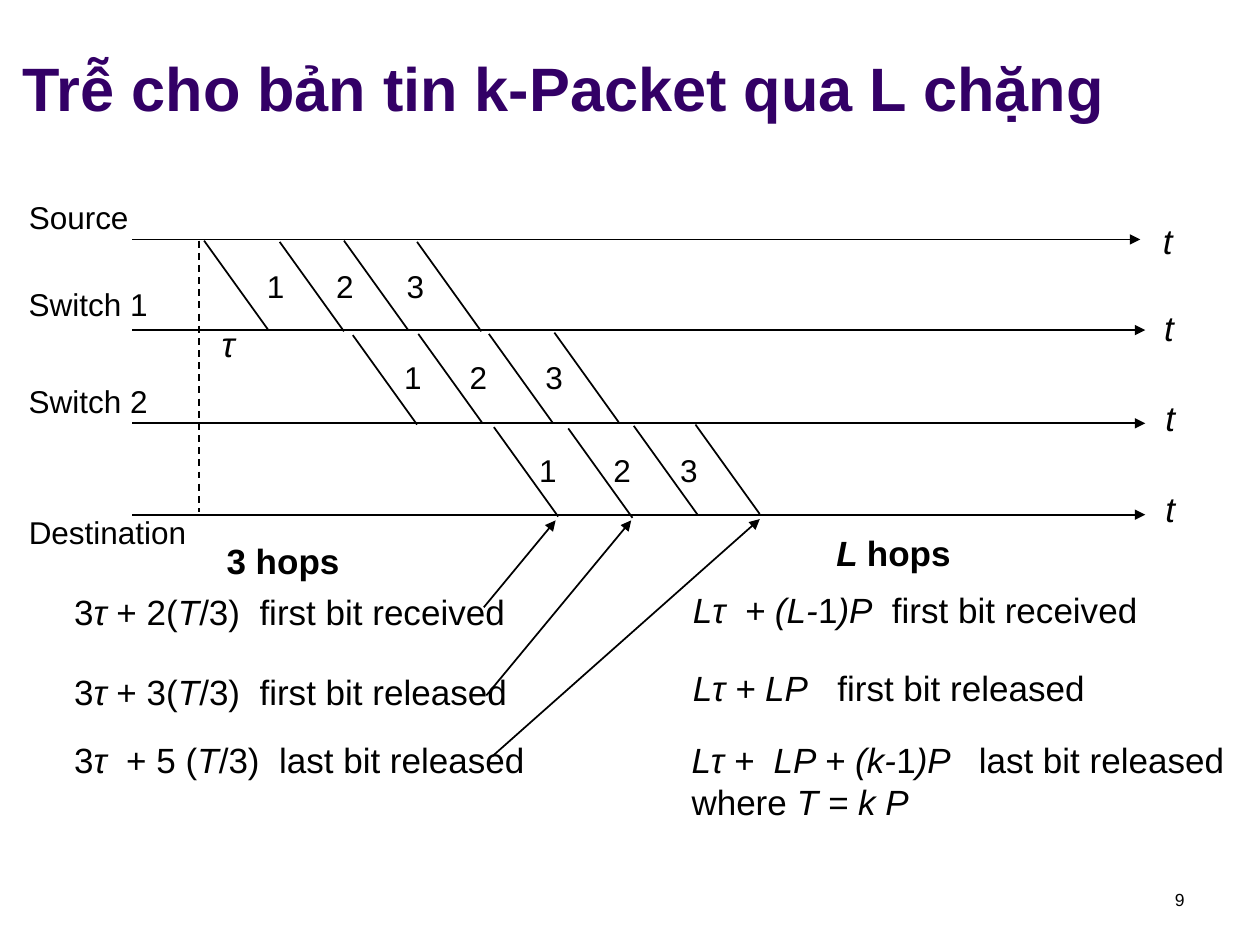
from lxml import etree
from pptx import Presentation
from pptx.dml.color import RGBColor
from pptx.enum.dml import MSO_LINE
from pptx.enum.shapes import MSO_CONNECTOR
from pptx.enum.text import MSO_ANCHOR, MSO_AUTO_SIZE, PP_ALIGN
from pptx.oxml.ns import qn
from pptx.util import Inches, Pt

STRAIGHT = MSO_CONNECTOR.STRAIGHT
DASH = MSO_LINE.DASH
LEFT, CENTER, RIGHT = PP_ALIGN.LEFT, PP_ALIGN.CENTER, PP_ALIGN.RIGHT
TOP, MIDDLE, BOTTOM = MSO_ANCHOR.TOP, MSO_ANCHOR.MIDDLE, MSO_ANCHOR.BOTTOM

THEME = {
    "font": "Arial",
    "ink": RGBColor(0x00, 0x00, 0x00),
    "title_color": RGBColor(0x33, 0x00, 0x66),
    "title": 35, "formula": 20, "label": 18, "number": 10,
    "line": 1,
}

# Content: text between asterisks is italic
TITLE = "Trễ cho bản tin k-Packet qua L chặng"
PAGE_NUMBER = "9"

# Time axes: name, top of name, name width, axis y, axis end x, left and top of "t"
AXIS_START = 1.05
AXES = [
    ("Source", 1.52, 0.99, 1.9, 9.05, 9.13, 1.69),
    ("Switch 1", 2.21, 1.14, 2.62, 9.09, 9.14, 2.38),
    ("Switch 2", 2.98, 1.14, 3.36, 9.09, 9.15, 3.1),
    ("Destination", 4.02, 1.45, 4.085, 9.09, 9.15, 3.82),
]

# Each hop: (x, y) where the packet edges start, then label lefts and label top
EDGE_RUN, EDGE_DROP = 0.51, 0.71
HOPS = [
    ([(1.62, 1.91), (2.22, 1.92), (2.73, 1.91), (3.31, 1.92)],
     [2.02, 2.57, 3.13], 2.07),
    ([(2.8, 2.66), (3.32, 2.65), (3.88, 2.65), (4.4, 2.64)],
     [3.11, 3.63, 4.23], 2.79),
    ([(3.92, 3.39), (4.51, 3.4), (5.03, 3.38), (5.52, 3.37)],
     [4.18, 4.77, 5.3], 3.53),
]

# Formulas and headings: lines, left, top, width, bold
FORMULAS = [
    (["3 hops"], 1.7, 4.23, 1.1, True),
    (["3*τ* + 2(*T*/3)  first bit received"], 0.49, 4.64, 3.64, False),
    (["3*τ* + 3(*T*/3)  first bit released"], 0.49, 5.27, 3.65, False),
    (["3*τ*  + 5 (*T*/3)  last bit released"], 0.49, 5.81, 3.79, False),
    (["*L *hops"], 6.54, 4.17, 1.11, True),
    (["*Lτ  + (L-*1*)P*  first bit received"], 5.4, 4.62, 3.75, False),
    (["*Lτ + LP*   first bit released"], 5.4, 5.24, 3.33, False),
    (["*Lτ +  LP + (k-*1*)P  * last bit released", "where *T = k P*"],
     5.39, 5.81, 4.47, False),
]

# Arrows from the formulas to the destination axis
POINTERS = [
    ((3.84, 4.82), (4.41, 4.13)),
    ((3.86, 5.52), (5.01, 4.13)),
    ((3.91, 6.0), (6.03, 4.12)),
]


def write_text(shape, lines, size, color=THEME["ink"], bold=False,
               align=LEFT, anchor=TOP, wrap=False):
    """Fill a shape with lines, toggling italics at each asterisk."""
    frame = shape.text_frame
    frame.word_wrap = wrap
    frame.auto_size = MSO_AUTO_SIZE.NONE
    frame.vertical_anchor = anchor
    for index, line in enumerate(lines):
        paragraph = frame.add_paragraph() if index else frame.paragraphs[0]
        paragraph.alignment = align
        for position, part in enumerate(line.split("*")):
            if not part:
                continue
            run = paragraph.add_run()
            run.text = part
            run.font.name = THEME["font"]
            run.font.size = Pt(size)
            run.font.bold = bold
            run.font.italic = position % 2 == 1
            run.font.color.rgb = color


def add_text(slide, lines, left, top, width, height, size, **text_format):
    box = slide.shapes.add_textbox(
        Inches(left), Inches(top), Inches(width), Inches(height))
    write_text(box, lines, size, **text_format)


def add_line(slide, start, end, arrow=False, dash=None):
    connector = slide.shapes.add_connector(
        STRAIGHT, *(Inches(value) for value in (*start, *end)))
    connector.line.color.rgb = THEME["ink"]
    connector.line.width = Pt(THEME["line"])
    if dash is not None:
        connector.line.dash_style = dash
    if arrow:
        etree.SubElement(connector.line._get_or_add_ln(),
                         qn("a:tailEnd"), type="triangle")
    etree.SubElement(connector._element.spPr, qn("a:effectLst"))


def main():
    presentation = Presentation()
    presentation.slide_width = Inches(10)
    presentation.slide_height = Inches(7.5)
    slide = presentation.slides.add_slide(presentation.slide_layouts[5])

    # Title
    title = slide.shapes.title
    title.left, title.top = Inches(0.08), Inches(0.17)
    title.width, title.height = Inches(9.09), Inches(0.86)
    write_text(title, [TITLE], THEME["title"], color=THEME["title_color"],
               bold=True, anchor=BOTTOM, wrap=True)

    # Time axes
    for name, name_top, name_width, y, end, t_left, t_top in AXES:
        add_line(slide, (AXIS_START, y), (end, y), arrow=True)
        add_text(slide, [name], 0.13, name_top, name_width, 0.4, THEME["label"])
        add_text(slide, ["*t*"], t_left, t_top, 0.28, 0.43, THEME["formula"])

    # Start time and propagation delay
    add_line(slide, (1.58, 1.91), (1.58, 4.06), dash=DASH)
    add_text(slide, ["*τ*"], 1.65, 2.51, 0.32, 0.44, THEME["formula"],
             align=CENTER, anchor=MIDDLE)

    # Packets on each hop
    for edges, label_lefts, label_top in HOPS:
        for x, y in edges:
            add_line(slide, (x, y), (x + EDGE_RUN, y + EDGE_DROP))
        for number, left in enumerate(label_lefts, start=1):
            add_text(slide, [str(number)], left, label_top, 0.34, 0.4,
                     THEME["label"])

    # Delay formulas and their arrows
    for lines, left, top, width, bold in FORMULAS:
        height = 0.1 + 0.33 * len(lines)
        add_text(slide, lines, left, top, width, height, THEME["formula"],
                 bold=bold)
    for start, end in POINTERS:
        add_line(slide, start, end, arrow=True)

    # Page number
    add_text(slide, [PAGE_NUMBER], 7.17, 7.01, 2.33, 0.32, THEME["number"],
             align=RIGHT, wrap=True)

    presentation.save("out.pptx")


if __name__ == "__main__":
    main()
